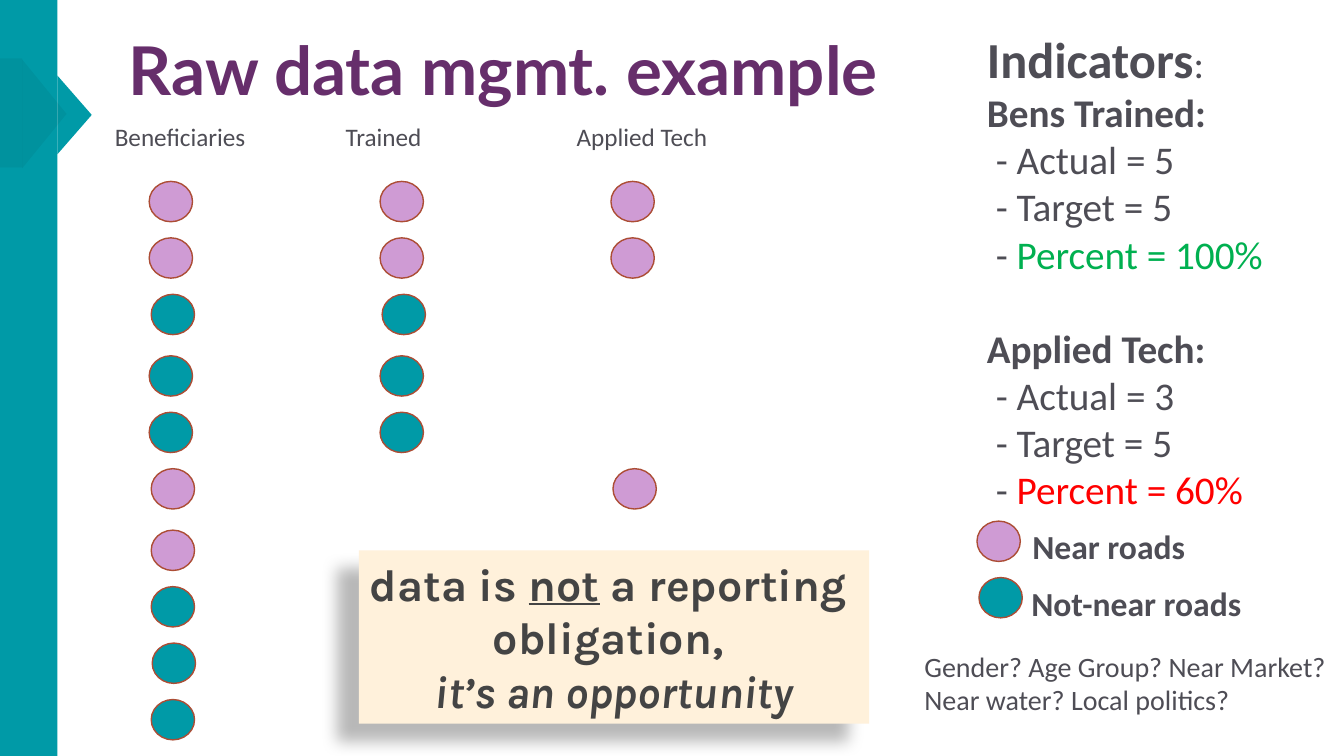
import pptx
import pptx.util
import pptx.dml.color
import pptx.enum.shapes
import pptx.enum.text
import pptx.oxml
import pptx.oxml.ns

PX = 9144
TEAL, PINK, BLACK = "009AA7", "CF9BD4", "000000"
GRAY, PLUM, RUST = "4E4D55", "662E6B", "AC4D35"
CREAM, INK, GREEN, RED = "FFF1DB", "444444", "00B050", "FF0000"
KIND = pptx.enum.shapes.MSO_SHAPE
FIT = pptx.enum.text.MSO_AUTO_SIZE
ALIGN = pptx.enum.text.PP_ALIGN
ANCHOR = pptx.enum.text.MSO_ANCHOR


def color(text):
    return pptx.dml.color.RGBColor.from_string(text)


def xml(text):
    return pptx.oxml.parse_xml(text.replace(">", f" {pptx.oxml.ns.nsdecls('a')}>", 1))


class Deck:
    font = "Calibri"
    ink = GRAY

    def __init__(self, width, height):
        self.file = pptx.Presentation()
        self.file.slide_width = width * PX
        self.file.slide_height = height * PX
        self.slide = self.file.slides.add_slide(self.file.slide_layouts[6])

    def shape(self, kind, box, fill, line=None, turn=0, alpha=None):
        item = self.slide.shapes.add_shape(kind, *(n * PX for n in box))
        item.shadow.inherit = False
        item.rotation = turn
        item.fill.solid()
        item.fill.fore_color.rgb = color(fill)
        if alpha:
            tint = item._element.spPr.find(".//" + pptx.oxml.ns.qn("a:srgbClr"))
            tint.append(xml(f'<a:alpha val="{alpha * 1000}"></a:alpha>'))
        if line:
            item.line.color.rgb = color(line)
            item.line.width = pptx.util.Pt(1)
        else:
            item.line.fill.background()
        return item

    def dot(self, left, top, fill):
        self.shape(KIND.OVAL, (left, top, 43, 40), fill, RUST)

    def shade(self, item, alpha, blur, gap, angle):
        glow = item._element.spPr.find(pptx.oxml.ns.qn("a:effectLst"))
        blur, gap = pptx.util.Pt(blur), pptx.util.Pt(gap)
        glow.append(xml(
            f'<a:outerShdw blurRad="{blur}" dist="{gap}" dir="{angle * 60000}" '
            f'algn="ctr" rotWithShape="0"><a:srgbClr val="{BLACK}">'
            f'<a:alpha val="{alpha * 1000}"/></a:srgbClr></a:outerShdw>'))

    def words(self, frame, lines, size, font=None, ink=None, align=None):
        for i, line in enumerate(lines):
            para = frame.add_paragraph() if i else frame.paragraphs[0]
            para.alignment = align
            for text, look in line:
                run = para.add_run()
                run.text = text
                run.font.name = font or self.font
                run.font.size = pptx.util.Pt(look.get("size", size))
                run.font.color.rgb = color(look.get("ink", ink or self.ink))
                run.font.bold = look.get("bold", False)
                run.font.italic = look.get("slant", False)
                run.font.underline = look.get("under", False)

    def text(self, box, lines, size, wrap=True, **style):
        frame = self.slide.shapes.add_textbox(*(n * PX for n in box)).text_frame
        frame.word_wrap = wrap
        frame.auto_size = FIT.SHAPE_TO_FIT_TEXT
        self.words(frame, lines, size, **style)
        return frame


def main():
    deck = Deck(1333, 750)
    bold = {"bold": True}

    deck.shape(KIND.RECTANGLE, (0, 0, 57, 750), TEAL)
    deck.shape(KIND.ISOSCELES_TRIANGLE, (35, 97, 78, 34), TEAL, turn=90)
    deck.shape(KIND.ISOSCELES_TRIANGLE, (-10, 91, 108, 44), BLACK, turn=90, alpha=5)
    deck.shape(KIND.RECTANGLE, (-43, 101, 108, 22), BLACK, turn=90, alpha=5)

    title = deck.text((118, 1, 1150, 145), [[("Raw data mgmt. example", bold)]], 48,
                      font="Lato", ink=PLUM)
    title.auto_size = FIT.NONE
    title.vertical_anchor = ANCHOR.MIDDLE
    title.paragraphs[0].line_spacing = 0.9

    fills = {"n": PINK, "f": TEAL}
    shifts = (0, 0, 2, 0, 0, 2, 2, 2, 3, 2)
    groups = (("Beneficiaries", "nnfffnnfff"), ("Trained", "nnfff"),
              ("Applied Tech", "nn---n"))
    for col, (name, marks) in enumerate(groups):
        left = 104 + 229 * col
        deck.text((left, 115, 152, 40), [[(name, {})]], 18)
        for row, mark in enumerate(marks):
            if mark in fills:
                top = 180 + 56 * row + 5 * min(row // 3, 2)
                deck.dot(left + 44 + shifts[row], top, fills[mark])

    lines = [[("Indicators", {"size": 36, "bold": True}), (":", {})]]
    for name, count, rate, ink in (("Bens Trained:", 5, 100, GREEN),
                                   ("Applied Tech:", 3, 60, RED)):
        lines += [[(name, bold)], [(f" - Actual = {count}", {})],
                  [(" - Target = 5", {})],
                  [(" - ", {}), (f"Percent = {rate}%", {"ink": ink})]]
    frame = deck.text((969, 23, 331, 495), lines, 28)
    frame.paragraphs[5].space_before = pptx.util.Pt(34)

    keys = (("Near roads", 969, 1014, 173, PINK),
            ("Not-near roads", 971, 1013, 231, TEAL))
    for row, (name, spot, left, width, fill) in enumerate(keys):
        top = 517 + 56 * row
        deck.dot(spot, top, fill)
        deck.text((left, top, width, 50), [[(name, bold)]], 24, wrap=False)

    deck.text((907, 639, 427, 77), [[(
        "Gender? Age Group? Near Market? Near water? Local politics?", {})]], 20)

    card = deck.shape(KIND.RECTANGLE, (356, 546, 506, 172), CREAM)
    deck.shade(card, 28, 11.8, 19.7, 141)
    card.text_frame.word_wrap = True
    card.text_frame.auto_size = FIT.SHAPE_TO_FIT_TEXT
    deck.words(card.text_frame, [
        [("data is ", bold), ("not", {"bold": True, "under": True}),
         (" a reporting ", bold)],
        [("obligation, ", bold)],
        [("it’s an opportunity", {"bold": True, "slant": True})],
    ], 32, font="Karla", ink=INK, align=ALIGN.CENTER)

    deck.file.save("out.pptx")


if __name__ == "__main__":
    main()
